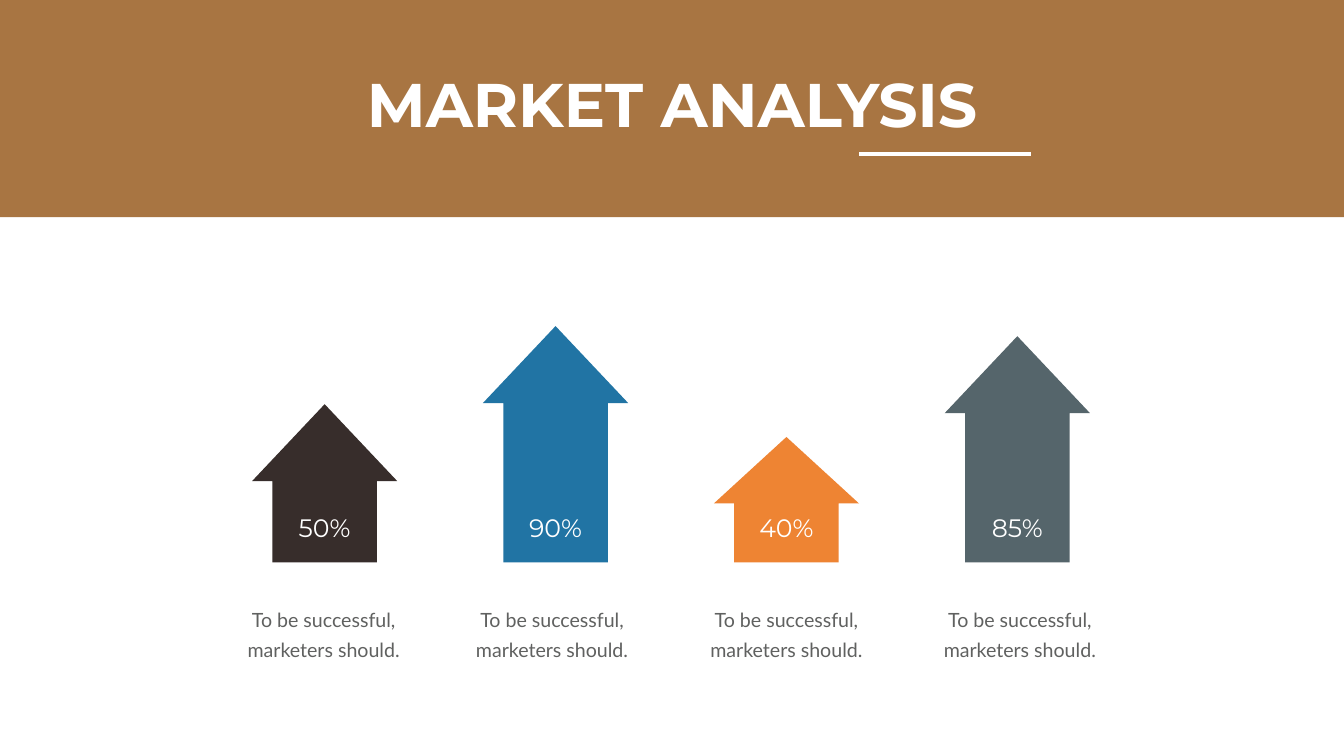
from dataclasses import dataclass

import pptx
import pptx.dml.color
import pptx.enum.shapes
import pptx.enum.text
import pptx.oxml.ns
import pptx.util
from lxml import etree

Inches = pptx.util.Inches
Pt = pptx.util.Pt


@dataclass(frozen=True)
class Theme:
    band: str = "A87542"
    light: str = "FFFFFF"
    caption: str = "606160"
    arrows: tuple = ("372D2B", "2174A4", "EE8433", "55656B")
    heading_font: str = "Montserrat"
    body_font: str = "Lato"
    title_size: int = 88
    percent_size: int = 36
    caption_size: int = 28
    caption_spacing: int = 43


class SlideBuilder:
    def __init__(self, slide, theme):
        self.slide = slide
        self.theme = theme

    def color(self, value):
        return pptx.dml.color.RGBColor.from_string(value)

    def shape(self, kind, left, top, width, height, fill):
        shape = self.slide.shapes.add_shape(
            kind, Inches(left), Inches(top), Inches(width), Inches(height))
        shape.shadow.inherit = False
        shape.fill.solid()
        shape.fill.fore_color.rgb = self.color(fill)
        shape.line.fill.background()
        return shape

    def arrow(self, left, top, width, height, fill):
        arrow = self.shape(pptx.enum.shapes.MSO_SHAPE.UP_ARROW,
                           left, top, width, height, fill)
        arrow.adjustments[0] = 0.72
        arrow.adjustments[1] = 0.53

    def fill_text(self, box, text, font, size, color, bold=False, spacing=None):
        """Fill a text box or placeholder with one centred paragraph."""
        frame = box.text_frame
        frame.text = text
        frame.word_wrap = True
        frame.auto_size = pptx.enum.text.MSO_AUTO_SIZE.NONE
        frame.vertical_anchor = pptx.enum.text.MSO_ANCHOR.TOP
        para = frame.paragraphs[0]
        para.alignment = pptx.enum.text.PP_ALIGN.CENTER
        para.line_spacing = Pt(spacing) if spacing else 1.0
        span = para.runs[0].font
        span.name = font
        span.size = Pt(size)
        span.bold = bold
        span.color.rgb = self.color(color)

    def text(self, left, top, width, height, text, font, size, color, spacing=None):
        box = self.slide.shapes.add_textbox(
            Inches(left), Inches(top), Inches(width), Inches(height))
        self.fill_text(box, text, font, size, color, spacing=spacing)

    def title(self, left, top, width, height, text):
        """Place the title placeholder in front of everything drawn so far."""
        title = self.slide.shapes.title
        title.left, title.top = Inches(left), Inches(top)
        title.width, title.height = Inches(width), Inches(height)
        self.fill_text(title, text, self.theme.heading_font, self.theme.title_size,
                       self.theme.light, bold=True)
        title.element.getparent().append(title.element)

    def line(self, left, right, y, color, weight):
        line = self.slide.shapes.add_connector(
            pptx.enum.shapes.MSO_CONNECTOR.STRAIGHT,
            Inches(left), Inches(y), Inches(right), Inches(y))
        line.line.color.rgb = self.color(color)
        line.line.width = Pt(weight)
        properties = line.element.find(pptx.oxml.ns.qn("p:spPr"))
        etree.SubElement(properties, pptx.oxml.ns.qn("a:effectLst"))


# percent, arrow height, caption left
MARKETS = [
    (50, 3.14, 4.34),
    (90, 4.69, 8.87),
    (40, 2.49, 13.52),
    (85, 4.49, 18.15),
]
FIRST_LEFT, COLUMN_STEP = 5, 4.58
ARROW_WIDTH, ARROW_BASE = 2.88, 11.16
PERCENT_WIDTH = 2.36
CAPTION = "To be successful, marketers should."


def main():
    deck = pptx.Presentation()
    deck.slide_width, deck.slide_height = Inches(26.66), Inches(15)
    theme = Theme()
    page = SlideBuilder(deck.slides.add_slide(deck.slide_layouts[5]), theme)

    page.shape(pptx.enum.shapes.MSO_SHAPE.RECTANGLE, 0, 0, 26.66, 4.31, theme.band)
    page.title(6.94, 1.25, 12.78, 1.58, "MARKET ANALYSIS")
    page.line(17.04, 20.45, 3.05, theme.light, 6)

    for index, (percent, height, caption_left) in enumerate(MARKETS):
        left = FIRST_LEFT + index * COLUMN_STEP
        page.arrow(left, ARROW_BASE - height, ARROW_WIDTH, height, theme.arrows[index])
        page.text(left + (ARROW_WIDTH - PERCENT_WIDTH) / 2, 10.12, PERCENT_WIDTH, 0.71,
                  f"{percent}%", theme.heading_font, theme.percent_size, theme.light)
        page.text(caption_left, 11.89, 4.16, 1.24, CAPTION, theme.body_font,
                  theme.caption_size, theme.caption, spacing=theme.caption_spacing)

    deck.save("out.pptx")


if __name__ == "__main__":
    main()
